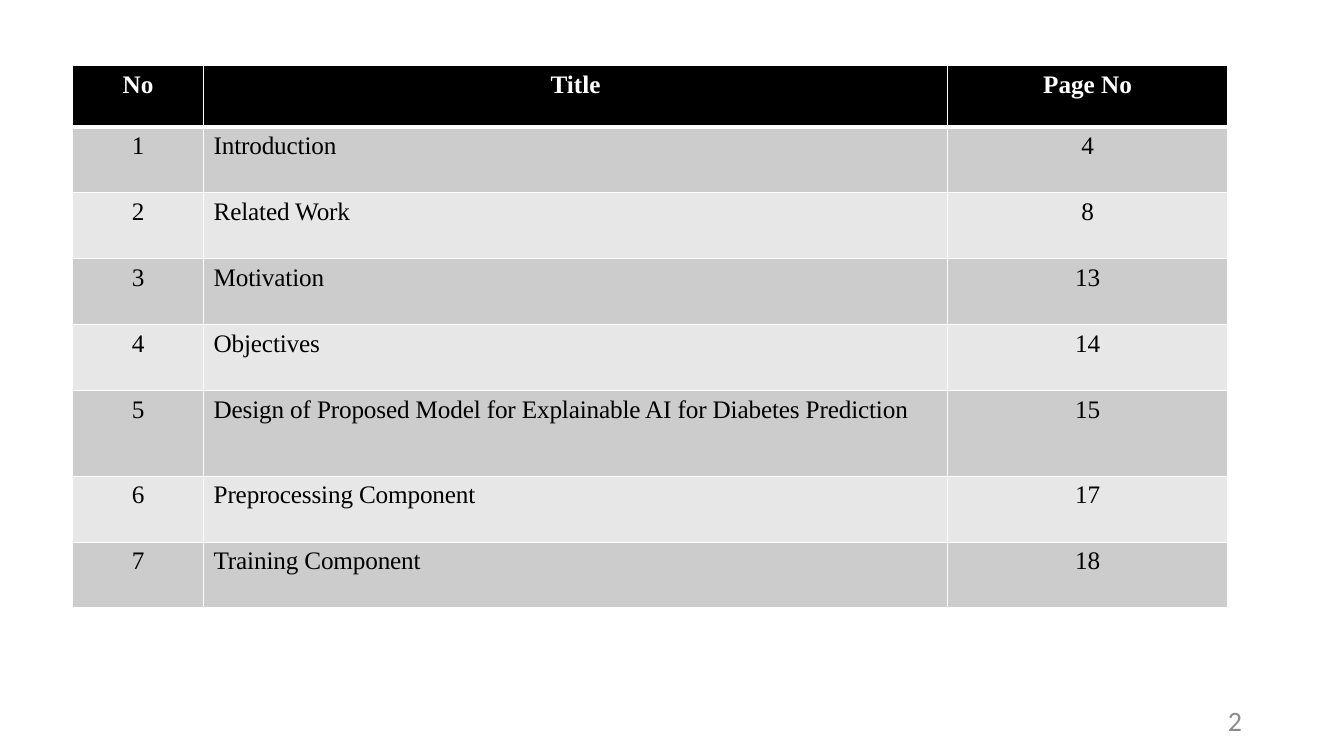
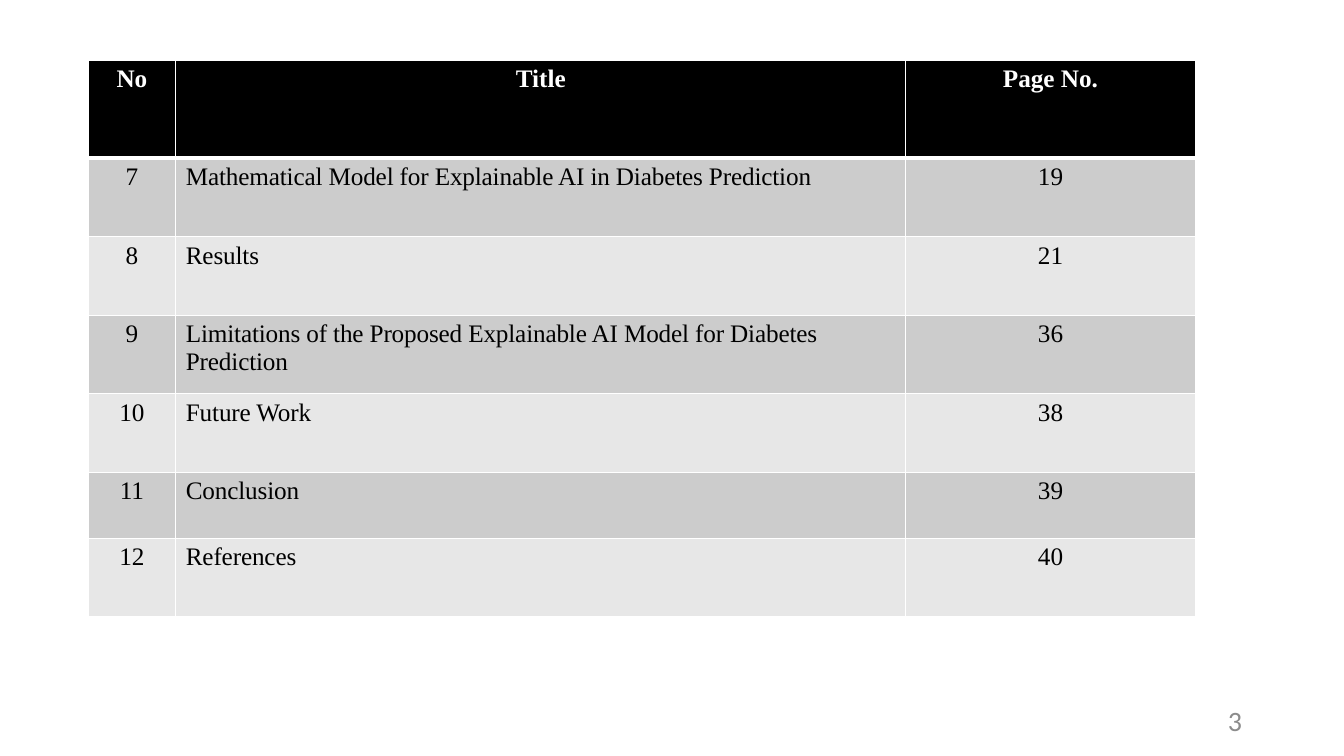
from lxml import etree
from pptx import Presentation
from pptx import util as u
from pptx.dml.color import RGBColor
from pptx.enum import text
from pptx.oxml import ns

BLACK = RGBColor(0x00, 0x00, 0x00)
WHITE = RGBColor(0xFF, 0xFF, 0xFF)
DARK_BAND = RGBColor(0xCC, 0xCC, 0xCC)
LIGHT_BAND = RGBColor(0xE7, 0xE7, 0xE7)
NUMBER_GREY = RGBColor(0x8C, 0x8C, 0x8C)

CENTER = text.PP_ALIGN.CENTER
LEFT = text.PP_ALIGN.LEFT
RIGHT = text.PP_ALIGN.RIGHT


class ContentsDeck:
    """Holds the shared style and the slide being built."""

    table_font, table_size = "Times New Roman", 18
    number_font, number_size = "Calibri", 20
    thin, thick = 1, 3
    title_spacing = -10  # hundredths of a point

    def __init__(self):
        self.deck = Presentation()
        self.deck.slide_width = u.Cm(33.87)
        self.deck.slide_height = u.Cm(19.05)
        self.page = None

    def add_page(self, number):
        blank = self.deck.slide_layouts.get_by_name("Blank")
        self.page = self.deck.slides.add_slide(blank)
        self.add_number(number)

    def add_span(self, para, words, font, size, color, align, bold=False):
        para.alignment = align
        span = para.add_run()
        span.text = words
        span.font.name = font
        span.font.size = u.Pt(size)
        span.font.color.rgb = color
        span.font.bold = bold
        return span

    def add_number(self, number):
        box = self.page.shapes.add_textbox(
            u.Cm(23.93), u.Cm(17.65), u.Cm(7.62), u.Cm(1.02))
        frame = box.text_frame
        frame.word_wrap = True
        frame.vertical_anchor = text.MSO_ANCHOR.MIDDLE
        self.add_span(frame.paragraphs[0], str(number), self.number_font,
                      self.number_size, NUMBER_GREY, RIGHT)

    def add_borders(self, cell, top, bottom):
        properties = cell._tc.get_or_add_tcPr()
        widths = {"lnL": self.thin, "lnR": self.thin, "lnT": top, "lnB": bottom}
        for side, width in widths.items():
            line = etree.SubElement(properties, ns.qn("a:" + side),
                                    w=str(u.Pt(width)))
            fill = etree.SubElement(line, ns.qn("a:solidFill"))
            etree.SubElement(fill, ns.qn("a:srgbClr"), val=str(WHITE))

    def add_cell(self, cell, words, row, column):
        # The heavy rule lies between the header and the first entry
        header = row == 0
        self.add_borders(cell, self.thick if row == 1 else self.thin,
                         self.thick if header else self.thin)
        cell.fill.solid()
        band = DARK_BAND if row % 2 else LIGHT_BAND
        cell.fill.fore_color.rgb = BLACK if header else band

        entry_title = column == 1 and not header
        span = self.add_span(
            cell.text_frame.paragraphs[0], words, self.table_font,
            self.table_size, WHITE if header else BLACK,
            LEFT if entry_title else CENTER, header)
        if entry_title:
            span._r.get_or_add_rPr().set("spc", str(self.title_spacing))

    def add_contents(self, left, top, widths, heights, rows):
        frame = self.page.shapes.add_table(
            len(rows), len(widths), u.Cm(left), u.Cm(top),
            u.Cm(sum(widths)), u.Cm(sum(heights)))
        table = frame.table
        for column, width in zip(table.columns, widths):
            column.width = u.Cm(width)
        for line, height in zip(table.rows, heights):
            line.height = u.Cm(height)
        for r, entry in enumerate(rows):
            for c, words in enumerate(entry):
                self.add_cell(table.cell(r, c), words, r, c)

    def save(self):
        self.deck.save("out.pptx")


def main():
    contents = ContentsDeck()

    # First half of the contents
    contents.add_page(2)
    contents.add_contents(
        1.83, 1.65, [3.3, 18.75, 7.06],
        [1.55] + [1.66] * 4 + [2.16] + [1.66] * 2,
        [("No", "Title", "Page No"),
         ("1", "Introduction", "4"),
         ("2", "Related Work", "8"),
         ("3", "Motivation", "13"),
         ("4", "Objectives", "14"),
         ("5", "Design of Proposed Model for Explainable AI for Diabetes "
               "Prediction", "15"),
         ("6", "Preprocessing Component", "17"),
         ("7", "Training Component", "18")])

    # Second half of the contents
    contents.add_page(3)
    contents.add_contents(
        2.22, 1.52, [2.21, 18.4, 7.29],
        [2.46] + [1.98] * 4 + [1.66, 1.98],
        [("No", "Title", "Page No."),
         ("7", "Mathematical Model for Explainable AI in Diabetes "
               "Prediction", "19"),
         ("8", "Results", "21"),
         ("9", "Limitations of the Proposed Explainable AI Model for "
               "Diabetes Prediction", "36"),
         ("10", "Future Work", "38"),
         ("11", "Conclusion", "39"),
         ("12", "References", "40")])

    contents.save()


if __name__ == "__main__":
    main()
